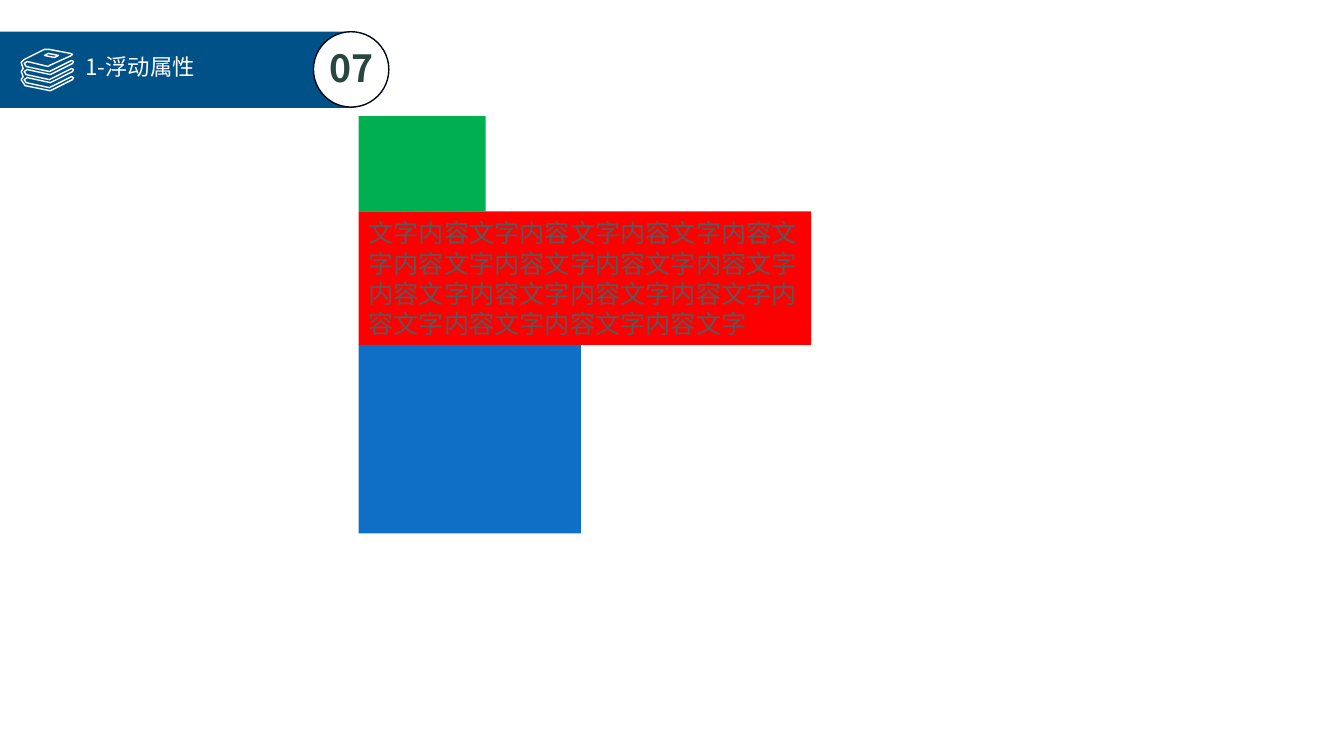
from dataclasses import dataclass

from lxml.etree import SubElement
from pptx import Presentation
from pptx.dml.color import RGBColor
from pptx.enum.shapes import MSO_SHAPE
from pptx.enum.text import MSO_ANCHOR, MSO_AUTO_SIZE, PP_ALIGN
from pptx.oxml.ns import qn
from pptx.util import Cm, Pt


@dataclass(frozen=True)
class Theme:
    font: str = "Noto Sans CJK SC"
    banner: str = "005188"
    white: str = "FFFFFF"
    outline: str = "000717"
    number: str = "284540"
    body: str = "595959"
    green: str = "00B050"
    red: str = "FF0000"
    blue: str = "0F6FC6"
    title_size: float = 16
    number_size: float = 26.7
    body_size: float = 18
    line_width: float = 1


THEME = Theme()

# Icon points are in hundredths of an inch.
ICON_UNIT = Cm(0.0254)
BOOK_PITCH = 8
BOOK_EDGE = [(50, 74), (72, 63), (73, 61), (71, 60),
             (49, 71), (26, 66), (24, 63), (27, 61)]
TOP_COVER = [(48, 66), (49, 65), (71, 55), (72, 54), (70, 53),
             (49, 49), (44, 49), (24, 59), (21, 62)]
SPINES = [(23, 68), (21, 71), (23, 76), (21, 79), (25, 85)]
COVER_LABEL = [(48, 53), (58, 55), (54, 57), (44, 55)]


def write_text(shape, text, *, size, color, bold=False,
               align=PP_ALIGN.LEFT, anchor=MSO_ANCHOR.TOP):
    frame = shape.text_frame
    frame.text = text
    frame.word_wrap = True
    frame.auto_size = MSO_AUTO_SIZE.NONE
    frame.vertical_anchor = anchor
    paragraph = frame.paragraphs[0]
    paragraph.alignment = align
    font = paragraph.runs[0].font
    font.name = THEME.font
    font.size = Pt(size)
    font.bold = bold
    font.color.rgb = RGBColor.from_string(color)
    east_asian = SubElement(font._element, qn("a:ea"))
    east_asian.set("typeface", THEME.font)


def set_line(shape, color):
    shape.line.color.rgb = RGBColor.from_string(color)
    shape.line.width = Pt(THEME.line_width)


def add_block(slide, kind, left, top, width, height, fill, line=None):
    block = slide.shapes.add_shape(kind, Cm(left), Cm(top), Cm(width), Cm(height))
    block.shadow.inherit = False
    block.fill.solid()
    block.fill.fore_color.rgb = RGBColor.from_string(fill)
    if line:
        set_line(block, line)
    else:
        block.line.fill.background()
    return block


def add_book_icon(slide):
    """Draw a stack of three books as one outline, plus the label on the top cover."""
    middle, upper, lower = (
        [(x, y + shift) for x, y in BOOK_EDGE]
        for shift in (BOOK_PITCH, 0, 2 * BOOK_PITCH)
    )
    stack = middle + upper + TOP_COVER + SPINES + lower
    builder = slide.shapes.build_freeform(*stack[0], scale=ICON_UNIT)
    builder.add_line_segments(stack[1:], close=True)
    builder.move_to(*COVER_LABEL[0])
    builder.add_line_segments(COVER_LABEL[1:], close=True)
    icon = builder.convert_to_shape()
    icon.shadow.inherit = False
    icon.fill.background()
    set_line(icon, THEME.white)


def add_header(slide, title_text, number_text):
    add_block(slide, MSO_SHAPE.RECTANGLE, 0, 0.8, 8.92, 1.92, THEME.banner)
    add_block(slide, MSO_SHAPE.OVAL, 7.9, 0.8, 1.9, 1.9, THEME.white, THEME.outline)
    number = slide.shapes.add_textbox(Cm(7.92), Cm(1.02), Cm(1.88), Cm(1.4))
    write_text(number, number_text, size=THEME.number_size, color=THEME.number,
               bold=True, align=PP_ALIGN.CENTER)

    title = slide.shapes.title
    title.left, title.top, title.width, title.height = Cm(1.9), Cm(1.22), Cm(6.43), Cm(2.31)
    write_text(title, title_text, size=THEME.title_size, color=THEME.white)
    slide.shapes._spTree.append(title._element)  # bring in front of the banner
    add_book_icon(slide)


def add_float_demo(slide):
    """Stack the three page boxes directly below one another."""
    top = 2.93
    for width, height, fill, text in (
        (3.2, 2.4, THEME.green, ""),
        (11.4, 3.36, THEME.red, "文字内容" * 16 + "文字"),
        (5.6, 4.75, THEME.blue, ""),
    ):
        box = add_block(slide, MSO_SHAPE.RECTANGLE, 9.04, top, width, height, fill)
        if text:
            write_text(box, text, size=THEME.body_size, color=THEME.body,
                       anchor=MSO_ANCHOR.MIDDLE)
        top += height


def main():
    deck = Presentation()
    deck.slide_width, deck.slide_height = Cm(33.87), Cm(19.05)
    slide = deck.slides.add_slide(deck.slide_layouts.get_by_name("Title Only"))
    add_header(slide, "1-浮动属性", "07")
    add_float_demo(slide)
    deck.save("out.pptx")


if __name__ == "__main__":
    main()
